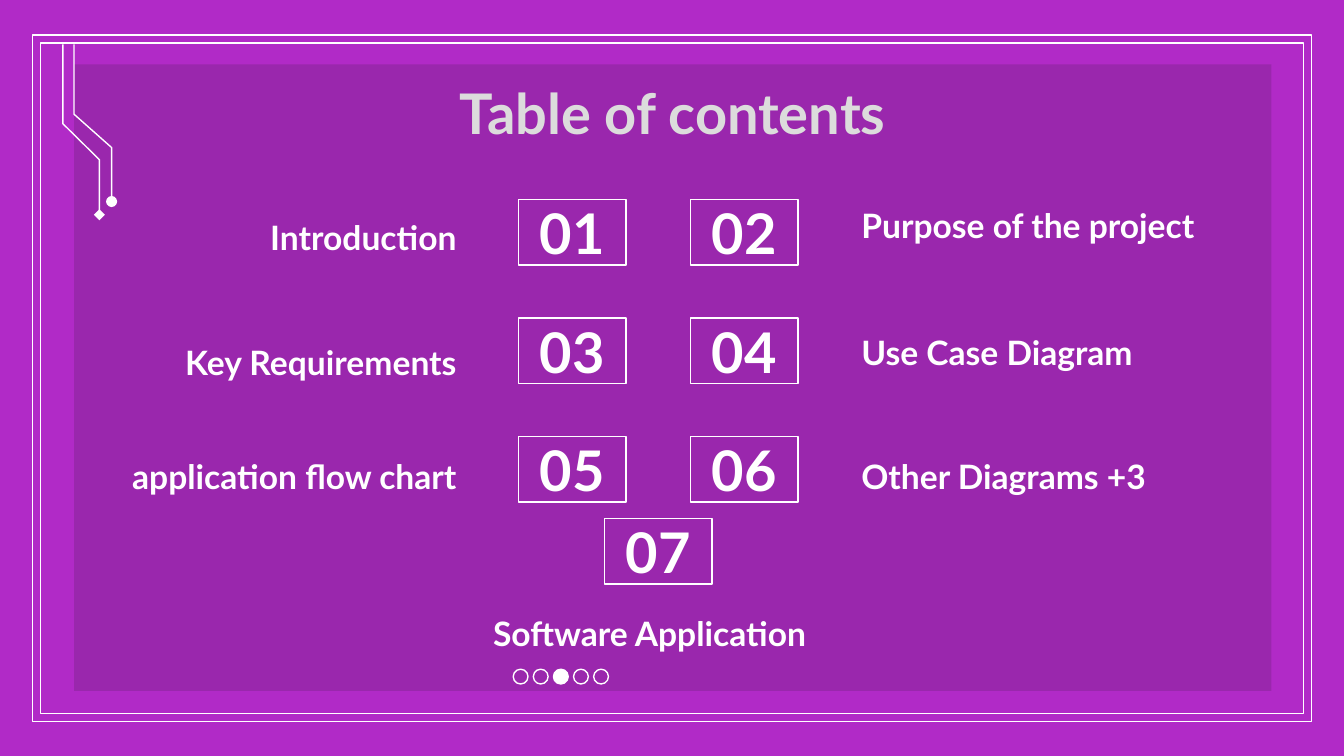
import pptx
import pptx.util
import pptx.dml.color
import pptx.enum.shapes
import pptx.enum.text
import pptx.oxml
import pptx.oxml.ns
import lxml.etree

Cm = pptx.util.Cm
SHAPES = pptx.enum.shapes.MSO_SHAPE
ALIGN = pptx.enum.text.PP_ALIGN
ANCHOR = pptx.enum.text.MSO_ANCHOR

COLORS = {"background": "B12AC7", "panel": "191919", "white": "FFFFFF"}


class ContentsSlide:
    font_name = "Lato"
    heading_size = 30
    label_size = 18
    line_width = 0.75
    margin = 0.25

    def __init__(self, deck):
        self.page = deck.slides.add_slide(deck.slide_layouts[5])
        self.paint(self.page.background.fill, "background")

    def paint(self, fill, color):
        fill.solid()
        fill.fore_color.rgb = pptx.dml.color.RGBColor.from_string(COLORS[color])

    def outline(self, shape):
        shape.shadow.inherit = False
        shape.fill.background()
        self.paint(shape.line.fill, "white")
        shape.line.width = pptx.util.Pt(self.line_width)

    def set_text(self, shape, text, size, align, anchor=ANCHOR.TOP):
        frame = shape.text_frame
        frame.text = text
        frame.word_wrap = True
        frame.auto_size = pptx.enum.text.MSO_AUTO_SIZE.NONE
        frame.vertical_anchor = anchor
        frame.margin_left = frame.margin_right = Cm(self.margin)
        frame.margin_top = frame.margin_bottom = Cm(self.margin)
        para = frame.paragraphs[0]
        para.alignment = align
        for span in para.runs:
            span.font.name = self.font_name
            span.font.size = pptx.util.Pt(size)
            span.font.bold = True
            self.paint(span.font.fill, "white")

    def shape(self, kind, left, top, width, height):
        shape = self.page.shapes.add_shape(
            kind, Cm(left), Cm(top), Cm(width), Cm(height))
        self.outline(shape)
        return shape

    def panel(self, left, top, width, height, opacity):
        panel = self.shape(SHAPES.RECTANGLE, left, top, width, height)
        panel.line.fill.background()
        self.paint(panel.fill, "panel")
        color = panel.element.spPr.find(".//" + pptx.oxml.ns.qn("a:srgbClr"))
        alpha = lxml.etree.SubElement(color, pptx.oxml.ns.qn("a:alpha"))
        alpha.set("val", str(opacity * 1000))

    def border(self, left, top, width, height, thickness):
        border = self.shape(SHAPES.FRAME, left, top, width, height)
        border.adjustments[0] = thickness

    def wire(self, points, tip):
        start, *rest = [(Cm(x), Cm(y)) for x, y in points]
        builder = self.page.shapes.build_freeform(*start)
        builder.add_line_segments(rest, close=False)
        wire = builder.convert_to_shape()
        self.outline(wire)
        line = wire.element.spPr.find(pptx.oxml.ns.qn("a:ln"))
        tail = lxml.etree.SubElement(line, pptx.oxml.ns.qn("a:tailEnd"))
        tail.set("type", tip)

    def dots(self, left, top, size, step, count, active):
        for index in range(count):
            dot = self.shape(SHAPES.OVAL, left + index * step, top, size, size)
            if index == active:
                self.paint(dot.fill, "white")

    def title(self, text, left, top, width, height):
        title = self.page.shapes.title
        title.left, title.top = Cm(left), Cm(top)
        title.width, title.height = Cm(width), Cm(height)
        self.set_text(title, text, self.heading_size, ALIGN.CENTER)

    def number(self, value, left, top):
        box = self.shape(SHAPES.RECTANGLE, left, top, 2.03, 1.24)
        self.set_text(box, f"{value:02d}", self.heading_size, ALIGN.CENTER, ANCHOR.MIDDLE)

    def label(self, text, left, top, width, align=ALIGN.LEFT):
        box = self.page.shapes.add_textbox(Cm(left), Cm(top), Cm(width), Cm(1.04))
        self.set_text(box, text, self.label_size, align)


def main():
    deck = pptx.Presentation()
    deck.slide_width, deck.slide_height = Cm(25.4), Cm(14.29)
    contents = ContentsSlide(deck)

    contents.panel(1.4, 1.22, 22.63, 11.84, opacity=15)
    contents.border(0.61, 0.66, 24.18, 12.98, thickness=0.012)
    contents.wire([(1.19, 0.84), (1.19, 2.34), (1.88, 3.02), (1.88, 4.06)], "diamond")
    contents.wire([(1.4, 0.84), (1.4, 2.16), (2.11, 2.79), (2.11, 3.81)], "oval")
    contents.dots(9.7, 12.65, 0.28, step=0.38, count=5, active=2)
    contents.title("Table of contents", 2.01, 1.24, 21.41, 1.6)

    labels_right_edge = 8.88
    rows = [
        (("Introduction", 3.86, 6.63), ("Purpose of the project", 3.63, 7.11)),
        (("Key Requirements", 6.22, 6.63), ("Use Case Diagram", 6.02, 6.63)),
        (("application flow chart", 8.36, 7.57), ("Other Diagrams +3", 8.36, 7.37)),
    ]
    for row, (left_label, right_label) in enumerate(rows):
        number_top = 3.77 + row * 2.24
        contents.number(2 * row + 1, 9.8, number_top)
        contents.number(2 * row + 2, 13.05, number_top)
        text, top, width = left_label
        contents.label(text, labels_right_edge - width, top, width, ALIGN.RIGHT)
        text, top, width = right_label
        contents.label(text, 16.03, top, width)

    contents.number(7, 11.43, 9.8)
    contents.label("Software Application", 9.07, 11.33, 7.37)
    deck.save("out.pptx")


if __name__ == "__main__":
    main()
